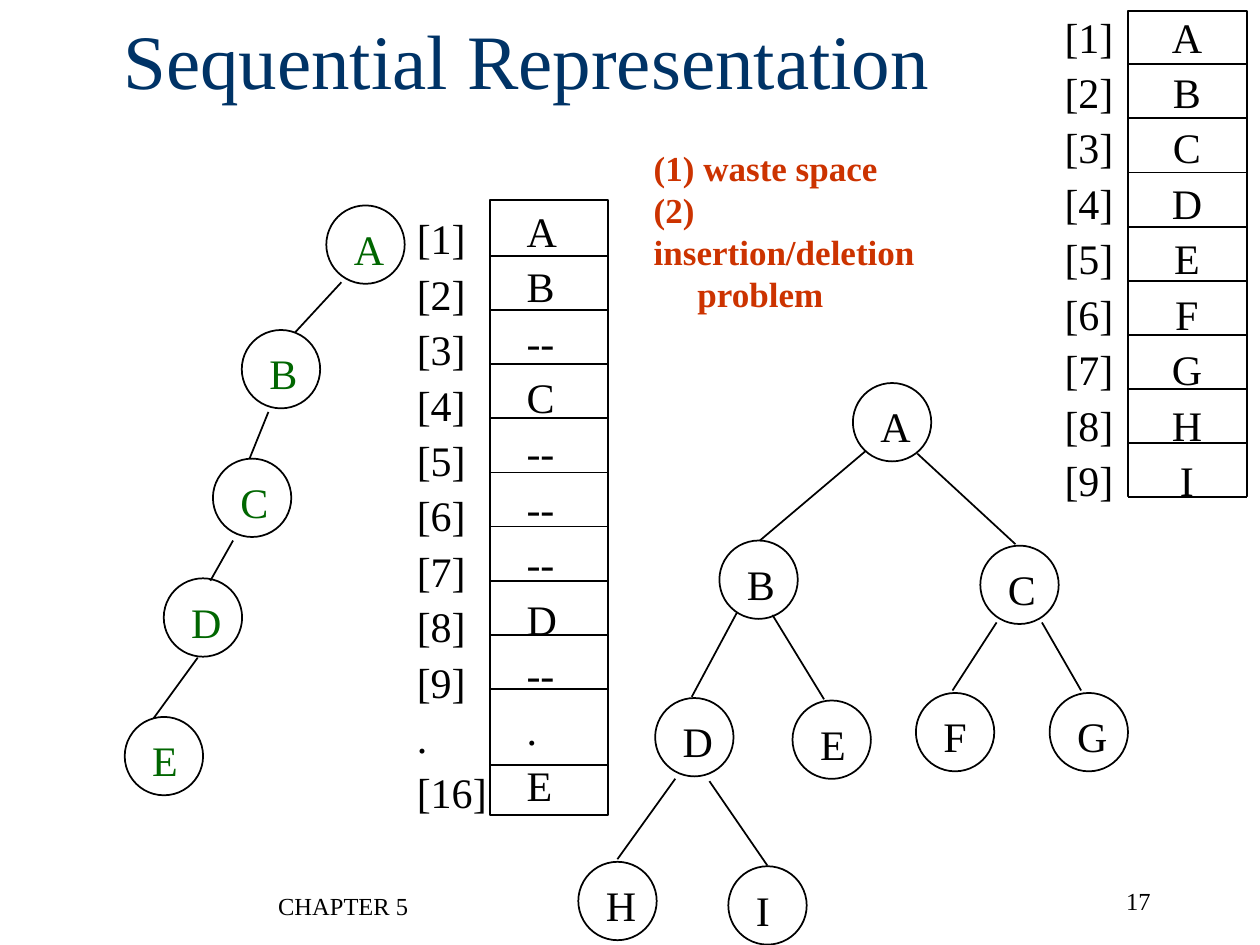
from lxml import etree
from pptx import Presentation
from pptx.dml.color import RGBColor
from pptx.enum import shapes, text
from pptx.oxml import ns
from pptx.util import Pt

BLACK = RGBColor(0, 0, 0)
NAVY = RGBColor(0, 0x33, 0x66)
GREEN = RGBColor(0, 0x66, 0)
RED = RGBColor(0xCC, 0x33, 0)
FONT = "Times New Roman"
DIAMETER = 44.8
ROW_STEP = 30.95
LEFT, CENTER, RIGHT = text.PP_ALIGN.LEFT, text.PP_ALIGN.CENTER, text.PP_ALIGN.RIGHT

# Each tree: letter colour, nodes (letter, left, top), edges (x1, y1, x2, y2)
TREES = [
    {
        "color": GREEN,
        "nodes": [("A", 186.5, 117.4), ("B", 138.2, 188.6), ("C", 121.7, 262.1),
                  ("D", 93.6, 330.5), ("E", 71.3, 409.7)],
        "edges": [(195.1, 161.3, 168.5, 190.1), (153.4, 235.4, 142.6, 262.1),
                  (133.2, 308.9, 120.2, 331.9), (113, 375.8, 87.8, 410.4)],
    },
    {
        "color": BLACK,
        "nodes": [("A", 487.4, 218.9), ("B", 411.1, 308.9), ("C", 560.2, 311.8),
                  ("D", 374.4, 398.9), ("E", 452.9, 400.3), ("F", 523.4, 396),
                  ("G", 599.8, 396), ("H", 330.5, 492.5), ("I", 416.2, 495)],
        "edges": [(494.6, 257.8, 434.2, 308.9), (524.2, 259.2, 580.3, 311),
                  (421.2, 349.9, 395.3, 398.2), (441.4, 351.4, 470.9, 399.6),
                  (569.5, 355.7, 544.3, 394.6), (595.4, 355.7, 617.8, 394.6),
                  (385.9, 445, 352.8, 491), (405.4, 446.4, 438.5, 494.6)],
    },
]
LETTER_WIDTHS = {"A": 17.3, "B": 16, "C": 16, "D": 17.3, "E": 14.7,
                 "F": 13.4, "G": 17.3, "H": 17.3, "I": 8}

INDEXES = [f"[{number}]" for number in range(1, 10)]
# Each array: frame box, first row line, extra row lines, and text columns
ARRAYS = [
    {
        "frame": (280.1, 114.5, 67.2, 351.4), "first_line": 146.2, "extra_lines": [437],
        "columns": [
            (INDEXES + [".", "[16]"], (231.1, 115.2, 54.7, 355.7), LEFT),
            (["A", "B", "--", "C", "--", "--", "--", "D", "--", ".", "E"],
             (293.8, 110.9, 31.7, 355.7), LEFT),
        ],
    },
    {
        "frame": (644.8, 6.5, 67.7, 277.2), "first_line": 36.7, "extra_lines": [],
        "columns": [
            (INDEXES, (601.2, 0, 42.5, 292.3), LEFT),
            (list("ABCDEFGHI"), (662.4, 0, 31.7, 292.3), CENTER),
        ],
    },
]


def add_text(parent, lines, box, size=24, color=BLACK, bold=False, align=LEFT,
             spacing=None, anchor=text.MSO_ANCHOR.TOP, wrap=False, indents=()):
    """Add a text box with one paragraph per line; indents gives left margins."""
    frame = parent.shapes.add_textbox(*map(Pt, box)).text_frame
    frame.word_wrap = wrap
    frame.auto_size = text.MSO_AUTO_SIZE.NONE if wrap else text.MSO_AUTO_SIZE.SHAPE_TO_FIT_TEXT
    frame.vertical_anchor = anchor
    for position, line in enumerate(lines):
        paragraph = frame.add_paragraph() if position else frame.paragraphs[0]
        paragraph.alignment = align
        if spacing:
            paragraph.line_spacing = spacing
        if indents and indents[position]:
            paragraph._p.get_or_add_pPr().set("marL", str(Pt(indents[position])))
        run = paragraph.add_run()
        run.text = line
        run.font.name = FONT
        run.font.size = Pt(size)
        run.font.bold = bold
        run.font.color.rgb = color


def add_outline(parent, kind, box):
    shape = parent.shapes.add_shape(kind, *map(Pt, box))
    shape.shadow.inherit = False
    shape.fill.background()
    shape.line.color.rgb = BLACK
    shape.line.width = Pt(1)


def add_line(slide, ends):
    line = slide.shapes.add_connector(shapes.MSO_CONNECTOR.STRAIGHT, *map(Pt, ends))
    line.line.color.rgb = BLACK
    line.line.width = Pt(1)
    etree.SubElement(line._element.spPr, ns.qn("a:effectLst"))


def add_array(slide, array):
    left, top, width, height = array["frame"]
    add_outline(slide, shapes.MSO_SHAPE.RECTANGLE, array["frame"])
    rows = [array["first_line"] + ROW_STEP * row for row in range(9)]
    for y in rows + array["extra_lines"]:
        add_line(slide, (left, y, left + width, y))
    for lines, box, align in array["columns"]:
        add_text(slide, lines, box, align=align, spacing=1.1)


def add_tree(slide, tree):
    for letter, left, top in tree["nodes"]:
        node = slide.shapes.add_group_shape()
        add_outline(node, shapes.MSO_SHAPE.OVAL, (left, top, DIAMETER, DIAMETER))
        label = (left + 8.6, top + 6.7, LETTER_WIDTHS[letter] + 14.4, 36)
        add_text(node, [letter], label, color=tree["color"])
    for ends in tree["edges"]:
        add_line(slide, ends)


def main():
    presentation = Presentation()
    presentation.slide_width, presentation.slide_height = Pt(720), Pt(540)
    slide = presentation.slides.add_slide(presentation.slide_layouts[6])

    add_text(slide, ["CHAPTER 5"], (82.1, 505.4, 228.2, 36), size=14, align=CENTER, wrap=True)
    add_text(slide, ["17"], (514.8, 502.6, 149.8, 36), size=14, align=RIGHT, wrap=True)
    add_text(slide, ["Sequential Representation"], (63.4, 0, 476.6, 67.7), size=44,
             color=NAVY, anchor=text.MSO_ANCHOR.MIDDLE, wrap=True)
    for array in ARRAYS:
        add_array(slide, array)
    for tree in TREES:
        add_tree(slide, tree)
    add_text(slide, ["(1) waste space", "(2) insertion/deletion", "problem"],
             (366.5, 79.9, 191.5, 79.2), size=20, color=RED, bold=True, indents=(0, 0, 25))

    presentation.save("out.pptx")


if __name__ == "__main__":
    main()
